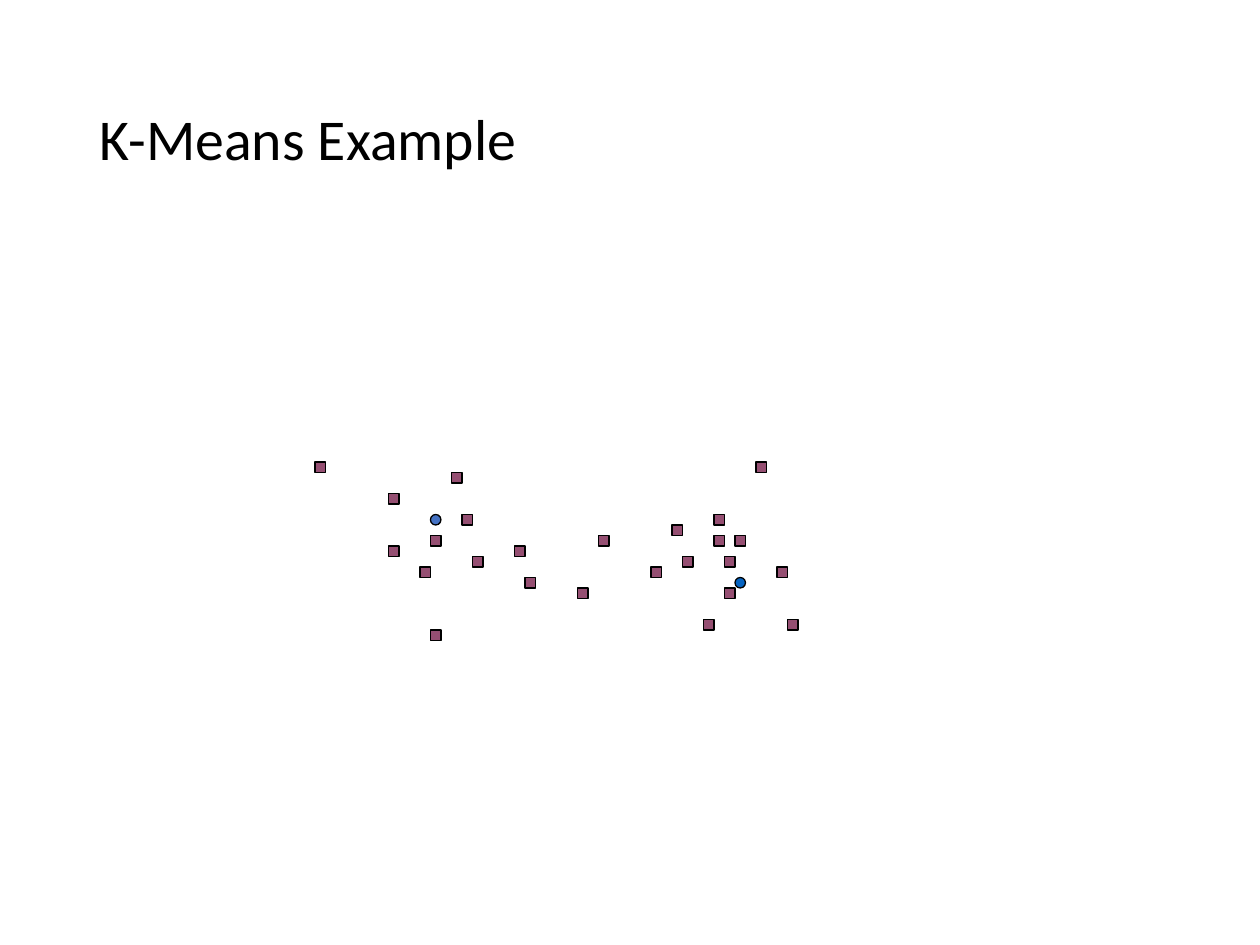
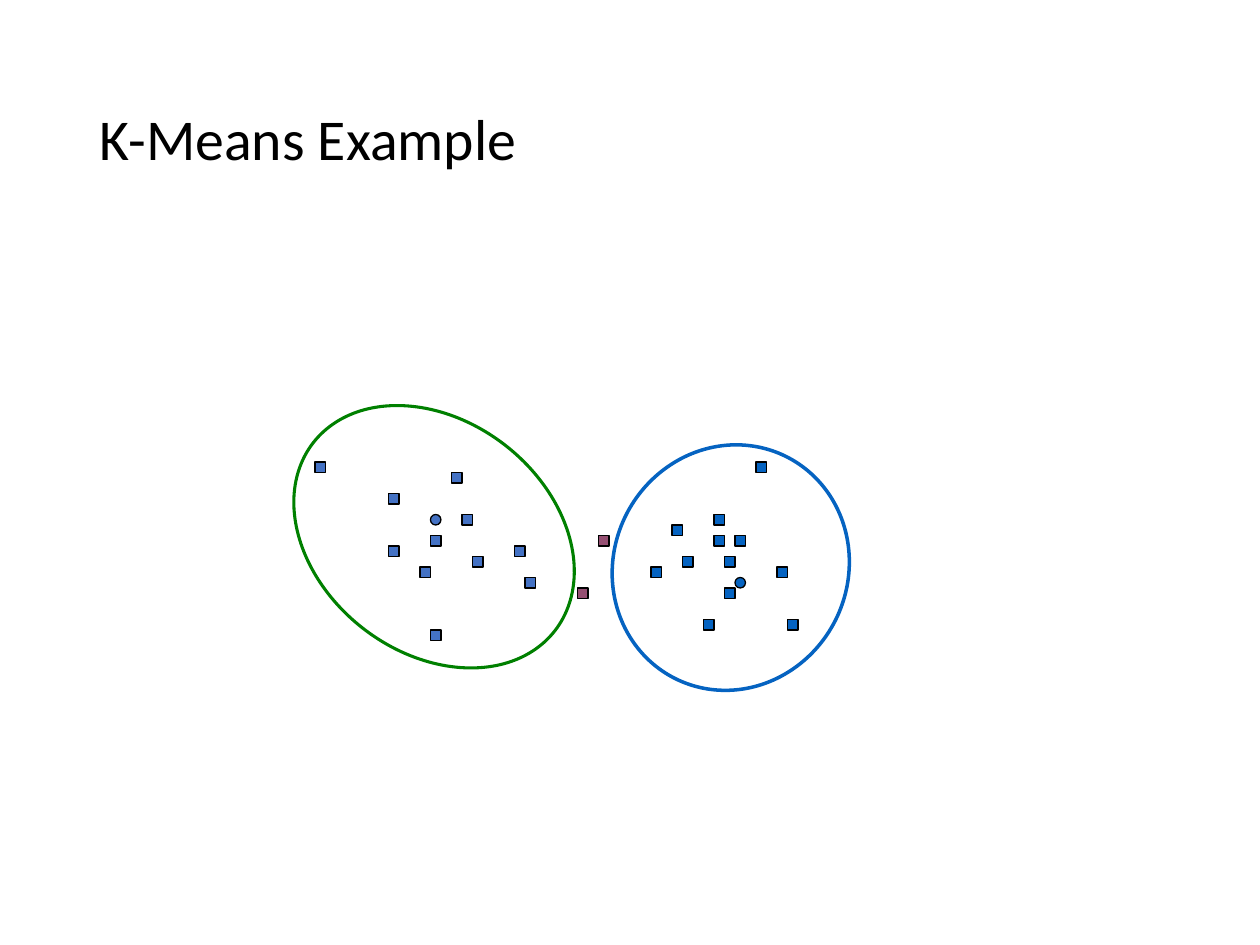
from collections import namedtuple
from dataclasses import dataclass

from pptx import Presentation
from pptx import util as u
from pptx.dml.color import RGBColor
from pptx.enum import shapes, text

Box = namedtuple("Box", "left top width height")
Cluster = namedtuple("Cluster", "centroid points color outline outline_color outline_width tilt")


@dataclass(frozen=True)
class Theme:
    """Colours, type sizes and line widths shared by the slides."""
    ink: str = "000000"
    unassigned: str = "954F72"
    first: str = "4472C4"
    second: str = "0563C1"
    first_outline: str = "008000"
    font: str = "Calibri"
    title_size: float = 33
    marker_line: float = 0.74


THEME = Theme()
CELL = u.Inches(1) / 12
SLIDE = Box(0, 0, 120, 90)
TITLE = Box(8.28, 4.8, 103.56, 17.4)
PLOT = Box(30, 44, 46, 17)

CLUSTERS = (
    Cluster((11, 5),
            ((0, 0), (7, 3), (7, 8), (11, 7), (13, 1), (14, 5),
             (10, 10), (19, 8), (15, 9), (11, 16), (20, 11)),
            THEME.first, Box(-3.24, -3.92, 29.16, 22.08),
            THEME.first_outline, 1.76, 37.9),
    Cluster((40, 11),
            ((38, 5), (40, 7), (42, 0), (34, 6), (35, 9), (44, 10),
             (39, 12), (45, 15), (38, 7), (39, 9), (37, 15), (32, 10)),
            THEME.second, Box(28.44, -1.76, 22.32, 23.64),
            THEME.second, 2.01, 26.5),
)
BETWEEN = ((27, 7), (25, 12))


def assign(target, values):
    """Set each named attribute on the target."""
    for name, value in values.items():
        setattr(target, name, value)


def lengths(box):
    """Turn a box in grid cells into slide lengths."""
    return [u.Emu(round(side * CELL)) for side in box]


def within(region, box):
    """Move a box from region cells to slide cells."""
    return Box(region.left + box.left, region.top + box.top, box.width, box.height)


def add_outlined(slide, kind, box, fill, line, width):
    """Add a shape with a line and, when given, a fill."""
    shape = slide.shapes.add_shape(kind, *lengths(box))
    shape.shadow.inherit = False
    if fill:
        shape.fill.solid()
        shape.fill.fore_color.rgb = RGBColor.from_string(fill)
    else:
        shape.fill.background()
    shape.line.color.rgb = RGBColor.from_string(line)
    shape.line.width = u.Pt(width)
    return shape


def add_marker(slide, region, kind, position, color):
    """Add a one-cell marker at a position in the region."""
    add_outlined(slide, kind, within(region, Box(*position, 1, 1)),
                 color, THEME.ink, THEME.marker_line)


def add_title(slide, box, wording):
    """Place and format the title placeholder."""
    title = slide.shapes.title
    assign(title, dict(zip(Box._fields, lengths(box))))
    frame = title.text_frame
    frame.text = wording
    assign(frame, {"word_wrap": True, "auto_size": text.MSO_AUTO_SIZE.NONE,
                   "vertical_anchor": text.MSO_ANCHOR.MIDDLE})
    paragraph = frame.paragraphs[0]
    assign(paragraph, {"alignment": text.PP_ALIGN.LEFT, "line_spacing": 0.9})
    font = paragraph.runs[0].font
    assign(font, {"name": THEME.font, "size": u.Pt(THEME.title_size)})
    font.color.rgb = RGBColor.from_string(THEME.ink)


def add_scatter(slide, region, assigned):
    """Draw points and centroids, with cluster outlines once assigned."""
    square, circle = shapes.MSO_SHAPE.RECTANGLE, shapes.MSO_SHAPE.OVAL
    for cluster in CLUSTERS:
        color = cluster.color if assigned else THEME.unassigned
        for point in cluster.points:
            add_marker(slide, region, square, point, color)
    for cluster in CLUSTERS:
        add_marker(slide, region, circle, cluster.centroid, cluster.color)
    for point in BETWEEN:
        add_marker(slide, region, square, point, THEME.unassigned)
    if assigned:
        for cluster in CLUSTERS:
            outline = add_outlined(slide, circle, within(region, cluster.outline),
                                   None, cluster.outline_color, cluster.outline_width)
            outline.rotation = cluster.tilt


def add_example(deck, assigned):
    """Add one step of the clustering example."""
    slide = deck.slides.add_slide(deck.slide_layouts.get_by_name("Title Only"))
    add_title(slide, TITLE, "K-Means Example")
    add_scatter(slide, PLOT, assigned)


def main():
    """Build and save the deck."""
    deck = Presentation()
    deck.slide_width, deck.slide_height = lengths(SLIDE)[2:]
    for assigned in (False, True):
        add_example(deck, assigned)
    deck.save("out.pptx")


main()
